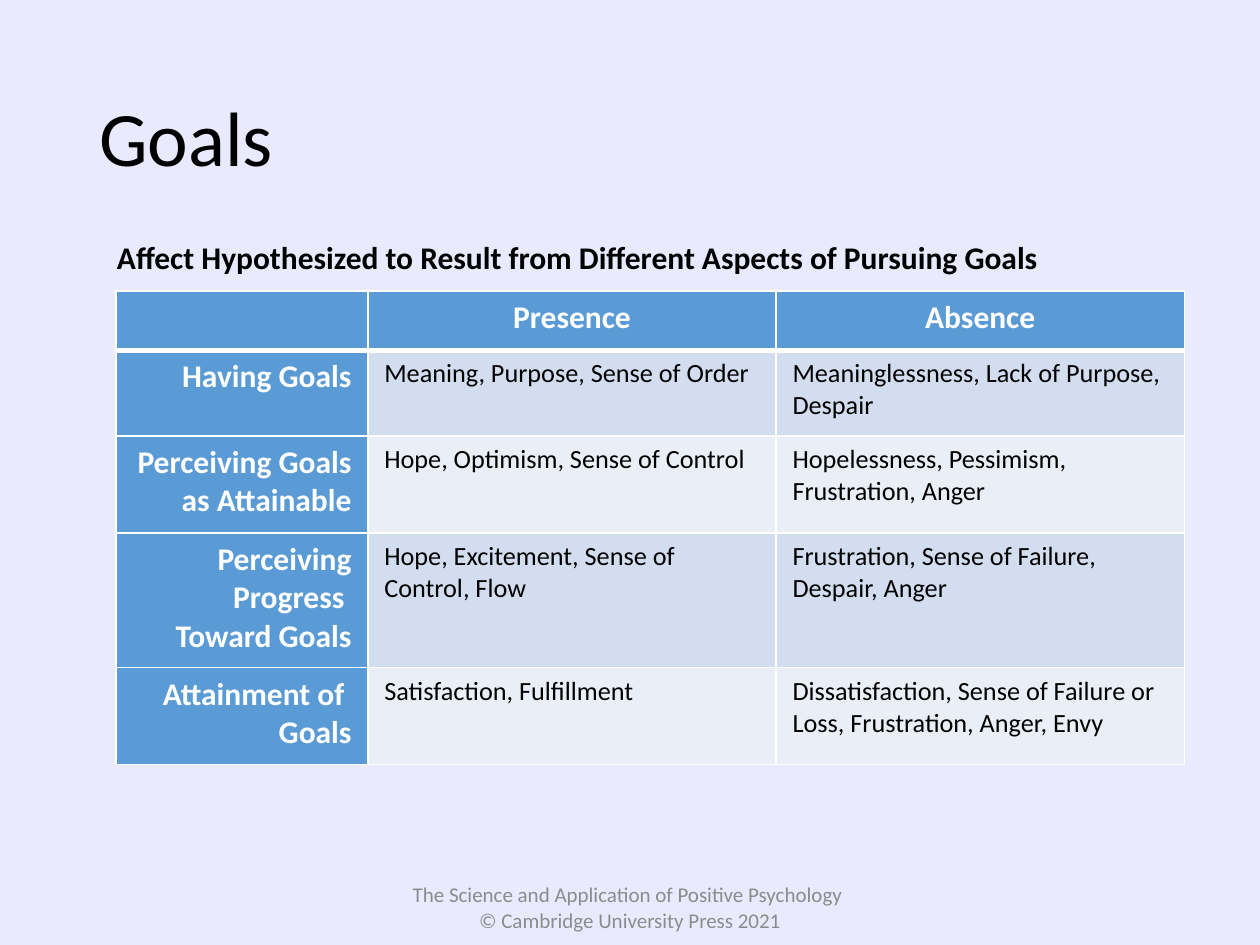
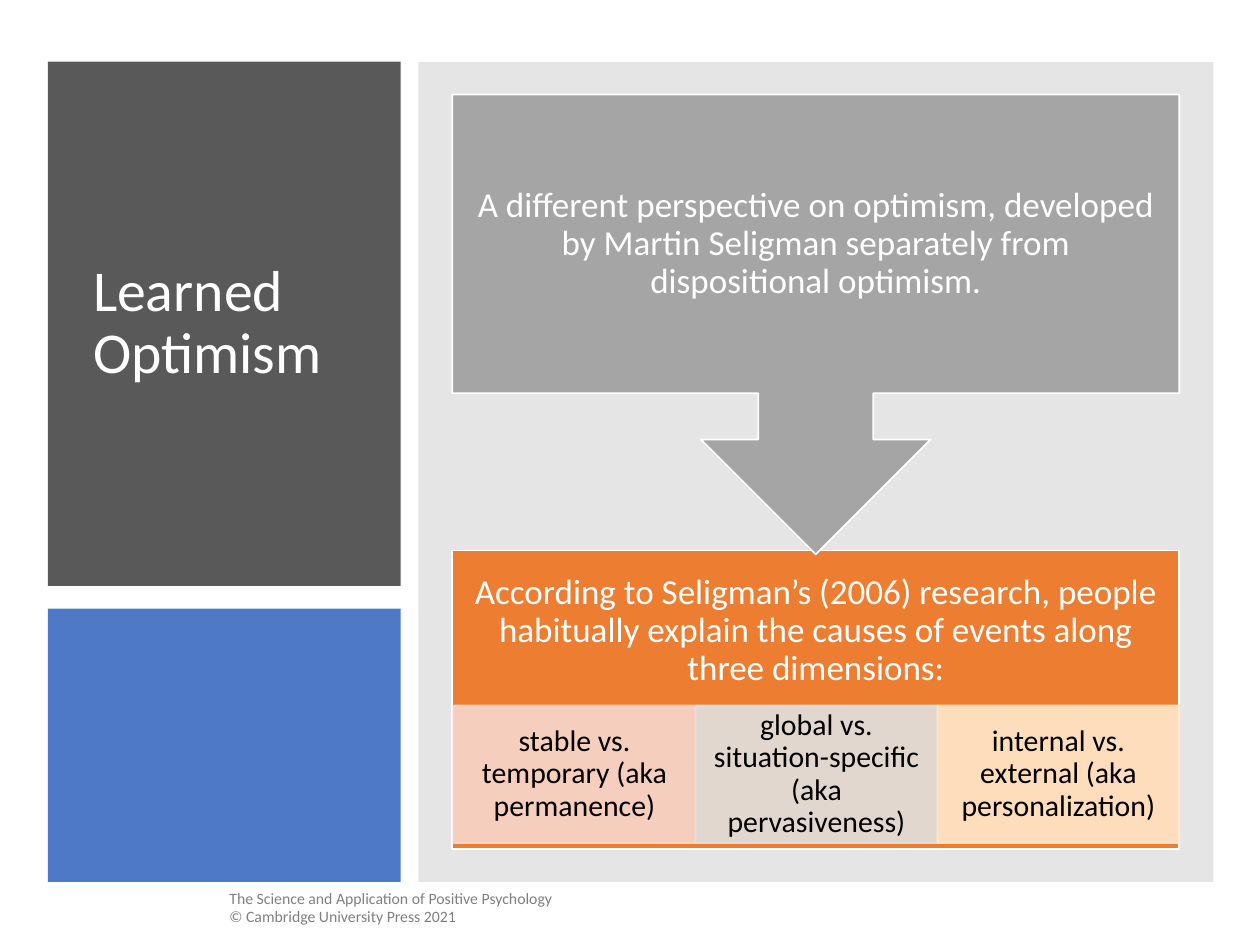
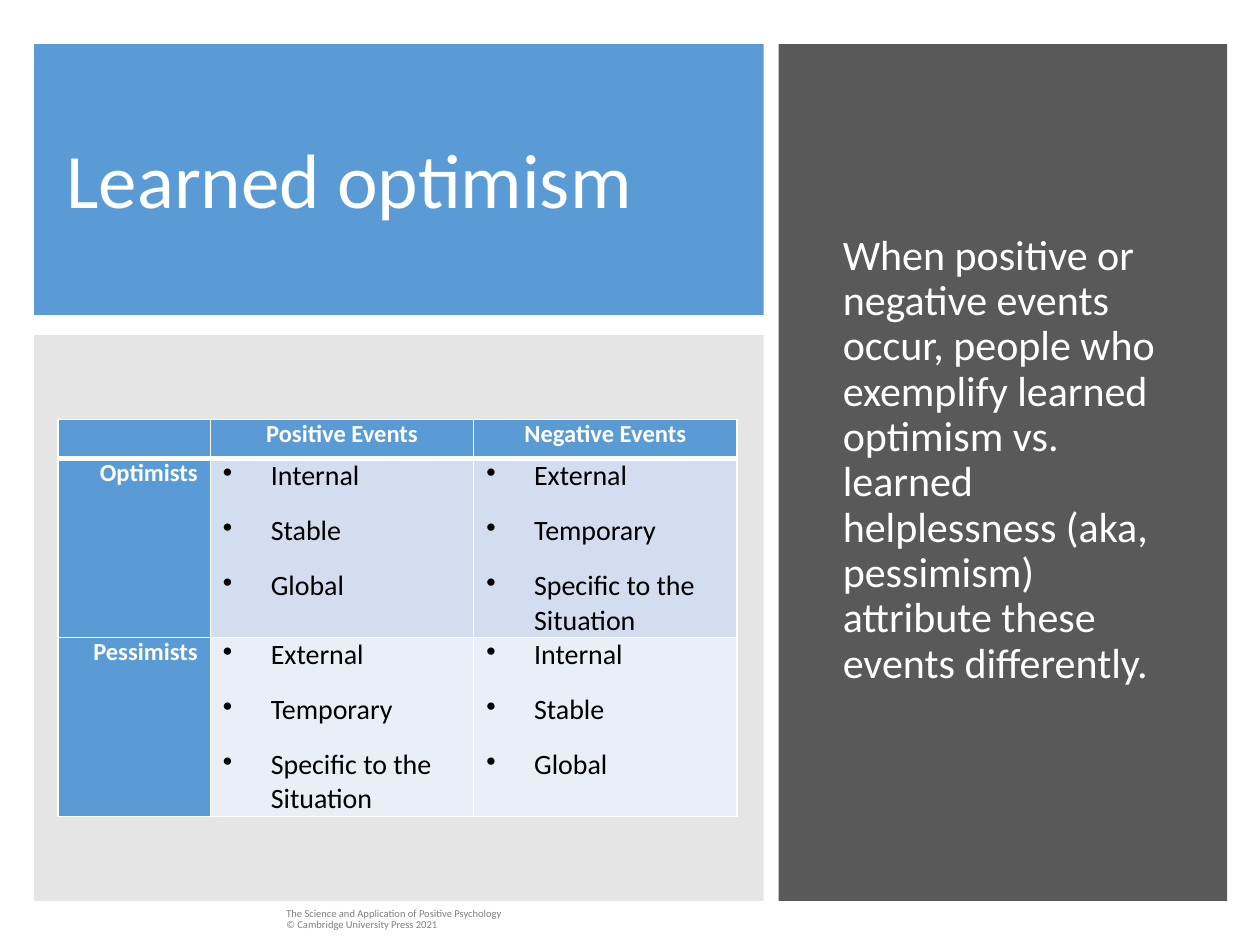
"""Build three slides on goals and learned optimism."""
from lxml.etree import SubElement
from pptx import Presentation
from pptx.dml.color import RGBColor
from pptx.enum.shapes import MSO_SHAPE
from pptx.enum.text import MSO_ANCHOR, PP_ALIGN
from pptx.oxml.ns import qn
from pptx.util import Inches, Pt

FONT = "Calibri"
BLACK = RGBColor(0x00, 0x00, 0x00)
WHITE = RGBColor(0xFF, 0xFF, 0xFF)
LAVENDER = RGBColor(0xEA, 0xEA, 0xFF)
DARK = RGBColor(0x59, 0x59, 0x59)
GRAY = RGBColor(0x80, 0x80, 0x80)
FOOTER_GRAY = RGBColor(0x8C, 0x8C, 0x8C)
SILVER = RGBColor(0xA5, 0xA5, 0xA5)
BLUE = RGBColor(0x5B, 0x9B, 0xD5)
ROYAL = RGBColor(0x44, 0x72, 0xC4)
ORANGE = RGBColor(0xED, 0x7D, 0x31)
BANDS = [RGBColor(0xD2, 0xDE, 0xEF), RGBColor(0xEA, 0xEF, 0xF7)]
TILES = [RGBColor(0xF8, 0xD7, 0xCE), RGBColor(0xE1, 0xE1, 0xE1), RGBColor(0xFF, 0xE8, 0xCC)]
FOOTER = "The Science and Application of Positive Psychology \v© Cambridge University Press 2021"


def add_box(s, at, text="", size=18, color=WHITE, fill=None, line=None, alpha=None,
            align=PP_ALIGN.LEFT, spacing=0.9, inset=(0.1, 0.05), bold=False,
            shape=MSO_SHAPE.RECTANGLE):
    """Add a filled shape, or a text box when there is no fill."""
    x, y, w, h = map(Inches, at)
    if fill is None:
        sp = s.shapes.add_textbox(x, y, w, h)
    else:
        sp = s.shapes.add_shape(shape, x, y, w, h)
        sp.shadow.inherit = False
        sp.fill.solid()
        sp.fill.fore_color.rgb = fill
        if line is None:
            sp.line.fill.background()
        else:
            sp.line.color.rgb = line
            sp.line.width = Pt(1)
        if alpha:
            for clr in sp._element.spPr.iter(qn("a:srgbClr")):
                SubElement(clr, qn("a:alpha"), val=str(alpha * 1000))
    if text:
        tf = sp.text_frame
        tf.word_wrap = True
        tf.vertical_anchor = MSO_ANCHOR.MIDDLE
        tf.margin_left = tf.margin_right = Inches(inset[0])
        tf.margin_top = tf.margin_bottom = Inches(inset[1])
        tf.text = text
        p = tf.paragraphs[0]
        p.alignment = align
        p.line_spacing = spacing
        for r in p.runs:
            r.font.name = FONT
            r.font.size = Pt(size)
            r.font.bold = bold
            r.font.color.rgb = color
    return sp


def add_grid(s, at, cols, heights, rows, sizes, insets, bullets=False):
    """Add a table with a blue header row and a blue label column."""
    tbl = s.shapes.add_table(len(rows), len(cols), *map(Inches, at)).table
    for col, width in zip(tbl.columns, cols):
        col.width = Inches(width)
    for i, row in enumerate(rows):
        tbl.rows[i].height = Inches(heights[i])
        for j, text in enumerate(row):
            cell = tbl.cell(i, j)
            head = i == 0 or j == 0
            (cell.margin_left, cell.margin_top,
             cell.margin_right, cell.margin_bottom) = map(Inches, insets)
            tcPr = cell._tc.get_or_add_tcPr()
            for side in "LRTB":
                thick = (i, side) in [(0, "B"), (1, "T")]
                ln = SubElement(tcPr, qn("a:ln" + side), w=str(Pt(3 if thick else 1)))
                SubElement(SubElement(ln, qn("a:solidFill")), qn("a:srgbClr"), val=str(WHITE))
            cell.fill.solid()
            cell.fill.fore_color.rgb = BLUE if head else BANDS[(i - 1) % 2]
            cell.text_frame.text = text
            for n, p in enumerate(cell.text_frame.paragraphs):
                if head:
                    p.alignment = PP_ALIGN.RIGHT if i else PP_ALIGN.CENTER
                elif bullets:
                    pPr = p._p.get_or_add_pPr()
                    pPr.set("marL", str(Inches(0.38)))
                    pPr.set("indent", str(Inches(-0.38)))
                    SubElement(pPr, qn("a:buChar"), char="•")
                    p.space_after = Pt(6)
                    if n:
                        p.space_before = Pt(6)
                for r in p.runs:
                    r.font.name = FONT
                    r.font.size = Pt(sizes[0] if head else sizes[1])
                    r.font.bold = head
                    r.font.color.rgb = WHITE if head else BLACK


prs = Presentation()
prs.slide_width = Inches(10)
prs.slide_height = Inches(7.5)
slides = []
for background in (LAVENDER, WHITE, WHITE):
    s = prs.slides.add_slide(prs.slide_layouts[6])
    s.background.fill.solid()
    s.background.fill.fore_color.rgb = background
    slides.append(s)
goals, dimensions, events = slides

add_box(goals, (0.69, 0.4, 8.62, 1.45), "Goals", 44, BLACK)
add_box(goals, (2.19, 6.95, 5.62, 0.5), FOOTER, 12, FOOTER_GRAY,
        align=PP_ALIGN.CENTER, spacing=1)
add_grid(goals, (0.92, 2.31, 8.48, 3.66), (2, 3.24, 3.24), (0.47, 0.68, 0.77, 1.07, 0.77), [
    ("", "Presence", "Absence"),
    ("Having Goals", "Meaning, Purpose, Sense of Order",
     "Meaninglessness, Lack of Purpose, Despair"),
    ("Perceiving Goals as Attainable", "Hope, Optimism, Sense of Control",
     "Hopelessness, Pessimism, Frustration, Anger"),
    ("Perceiving Progress \nToward Goals", "Hope, Excitement, Sense of Control, Flow",
     "Frustration, Sense of Failure, Despair, Anger"),
    ("Attainment of \nGoals", "Satisfaction, Fulfillment",
     "Dissatisfaction, Sense of Failure or Loss, Frustration, Anger, Envy"),
], (18, 15), (0.13, 0.06, 0.13, 0.09))
add_box(goals, (0.83, 1.83, 7.69, 0.41),
        "Affect Hypothesized to Result from Different Aspects of Pursuing Goals",
        18, BLACK, spacing=1, bold=True)

add_box(dimensions, (0.38, 0.49, 2.8, 4.16), fill=DARK)
add_box(dimensions, (0.64, 0.8, 2.33, 3.54), "Learned Optimism", 33)
add_box(dimensions, (0.38, 4.83, 2.8, 2.17), fill=ROYAL, alpha=95)
add_box(dimensions, (3.32, 0.49, 6.31, 6.51), fill=GRAY, alpha=20)
add_box(dimensions, (3.59, 4.37, 5.77, 2.37), fill=ORANGE, line=WHITE)
add_box(dimensions, (3.59, 4.37, 5.77, 1.28),
        "According to Seligman’s (2006) research, people habitually explain "
        "the causes of events along three dimensions:",
        20, align=PP_ALIGN.CENTER, inset=(0.16, 0.16))
labels = ("stable vs. temporary (aka permanence)",
          "global vs. situation-specific (aka pervasiveness)",
          "internal vs. external (aka personalization)")
for i, label in enumerate(labels):
    add_box(dimensions, (3.6 + 1.92 * i, 5.6, 1.92, 1.09), label, 17, BLACK, TILES[i], TILES[i],
            90, PP_ALIGN.CENTER, inset=(0.13, 0.02))
add_box(dimensions, (3.59, 0.75, 5.77, 3.65),
        "A different perspective on optimism, developed by Martin Seligman "
        "separately from dispositional optimism.",
        20, fill=SILVER, line=WHITE, align=PP_ALIGN.CENTER, inset=(0.16, 0.16),
        shape=MSO_SHAPE.DOWN_ARROW_CALLOUT)

add_box(events, (0.27, 0.35, 5.79, 2.15), fill=BLUE)
add_box(events, (0.43, 0.57, 5.41, 1.78), "Learned optimism", 44)
add_box(events, (0.27, 2.66, 5.79, 4.49), fill=GRAY, alpha=20)
add_box(events, (6.18, 0.35, 3.56, 6.8), fill=DARK)
add_box(events, (6.59, 1, 2.81, 5.31),
        "When positive or negative events occur, people who exemplify learned optimism vs. "
        "learned helplessness (aka, pessimism) attribute these events differently.", 24)
inner = "Internal\nStable\nGlobal"
outer = "External\nTemporary\nSpecific to the Situation"
add_grid(events, (0.46, 3.33, 5.39, 3.15), (1.21, 2.09, 2.09), (0.31, 1.42, 1.42), [
    ("", "Positive Events", "Negative Events"),
    ("Optimists", inner, outer),
    ("Pessimists", outer, inner),
], (14, 16), (0.1, 0, 0.1, 0), bullets=True)

for s, at, size in ((dimensions, (0.38, 7.01, 5.47, 0.4), 9),
                    (events, (0.43, 7.15, 5.41, 0.3), 6)):
    sp = add_box(s, at, FOOTER, size, GRAY)
    sp.text_frame._txBody.bodyPr.set("anchorCtr", "1")

prs.save("out.pptx")
